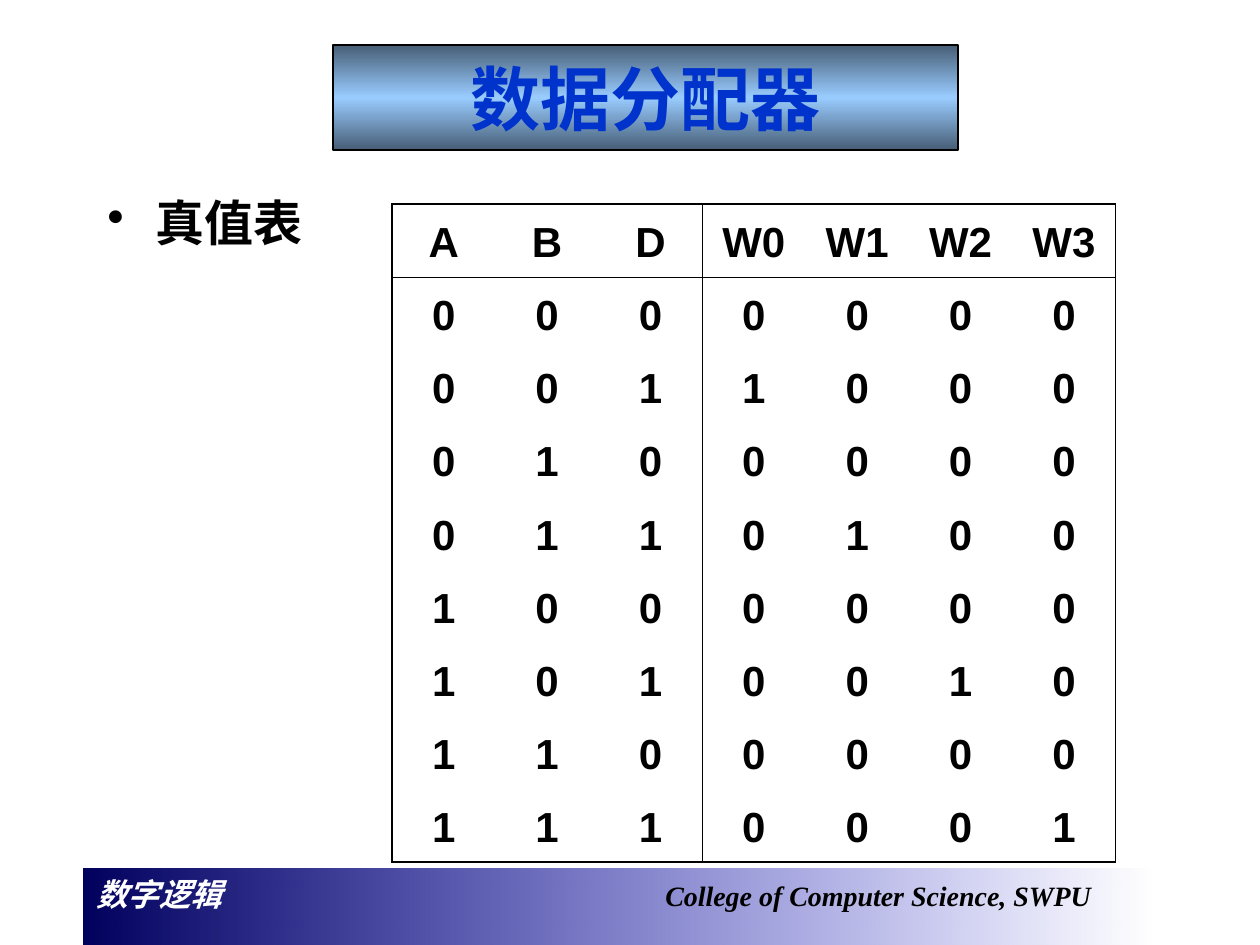
from itertools import product

from lxml.etree import SubElement
from pptx import Presentation
from pptx.dml.color import RGBColor
from pptx.enum.shapes import MSO_SHAPE
from pptx.enum.text import MSO_ANCHOR as ANCHOR, PP_ALIGN as ALIGN
from pptx.oxml.ns import qn
from pptx.util import Emu, Pt

PX = 914400 // 126
BLACK = RGBColor(0x00, 0x00, 0x00)
WHITE = RGBColor(0xFF, 0xFF, 0xFF)
BLUE = RGBColor(0x00, 0x33, 0xCC)
STEEL = RGBColor(0x47, 0x5E, 0x76)
SKY = RGBColor(0x99, 0xCC, 0xFF)
NAVY = RGBColor(0x00, 0x00, 0x5E)
ROYAL = RGBColor(0x00, 0x00, 0xCC)
OUTER, INNER = Pt(1.08), Pt(0.45)


def px(n):
    """Turn px into EMU."""
    return Emu(n * PX)


def style(r, name, size, color, italic=False):
    """Format one bold run."""
    r.font.name, r.font.size = name, Pt(size)
    r.font.bold, r.font.italic = True, italic
    r.font.color.rgb = color


def add_color(parent, color):
    """Add a solid colour element and return it."""
    return SubElement(parent, qn("a:srgbClr"), val=str(color))


def gradient_box(slide, box, angle, stops):
    """Add a rectangle filled with (position, colour, opacity) stops."""
    sp = slide.shapes.add_shape(MSO_SHAPE.RECTANGLE, *map(px, box))
    sp.shadow.inherit = False
    sp.fill.gradient()
    sp.fill.gradient_angle = angle
    gs_lst = sp.element.spPr.find(qn("a:gradFill")).find(qn("a:gsLst"))
    for gs in list(gs_lst):
        gs_lst.remove(gs)
    for pos, color, opacity in stops:
        gs = SubElement(gs_lst, qn("a:gs"), pos=str(pos * 1000))
        clr = add_color(gs, color)
        if opacity < 100:
            SubElement(clr, qn("a:alpha"), val=str(opacity * 1000))
    sp.text_frame.word_wrap = True
    return sp


def add_footer(slide, box):
    """Place the fading footer band with course and college names."""
    sp = gradient_box(slide, box, 0, [(0, NAVY, 100), (100, ROYAL, 0)])
    sp.line.fill.background()
    tf = sp.text_frame
    tf.vertical_anchor = ANCHOR.TOP
    p = tf.paragraphs[0]
    p.alignment = ALIGN.LEFT
    tabs = SubElement(p._p.get_or_add_pPr(), qn("a:tabLst"))
    SubElement(tabs, qn("a:tab"), pos=str(px(569)), algn="l")
    for text, size, color in [("数字逻辑\t", 18, WHITE),
                              ("College of Computer Science, SWPU", 16, BLACK)]:
        r = p.add_run()
        r.text = text
        style(r, "Times New Roman", size, color, italic=True)


def add_title(slide, box):
    """Place the title on its banded panel."""
    sp = gradient_box(slide, box, 90, [(0, STEEL, 100), (50, SKY, 100), (100, STEEL, 100)])
    sp.line.color.rgb = BLACK
    sp.line.width = Pt(0.75)
    tf = sp.text_frame
    tf.vertical_anchor = ANCHOR.MIDDLE
    tf.text = "数据分配器"
    p = tf.paragraphs[0]
    p.alignment = ALIGN.CENTER
    style(p.runs[0], "Karla", 40, BLUE)


def add_body(slide, box):
    """Place the bulleted heading."""
    tf = slide.shapes.add_textbox(*map(px, box)).text_frame
    tf.word_wrap = True
    tf.text = "真值表"
    p = tf.paragraphs[0]
    p.line_spacing = 1.2
    pPr = p._p.get_or_add_pPr()
    pPr.set("marL", str(px(48)))
    pPr.set("indent", str(px(-48)))
    add_color(SubElement(pPr, qn("a:buClr")), BLACK)
    SubElement(pPr, qn("a:buChar"), char="•")
    style(p.runs[0], "Arial", 28, BLACK)


def set_borders(cell, widths):
    """Set cell borders by side, with None for no line."""
    tcPr = cell._tc.get_or_add_tcPr()
    for side, width in zip("LRTB", widths):
        ln = SubElement(tcPr, qn(f"a:ln{side}"), w=str(width or 0))
        if width:
            add_color(SubElement(ln, qn("a:solidFill")), BLACK)
        else:
            SubElement(ln, qn("a:noFill"))


def truth_rows():
    """Return the header and the demultiplexer's truth table."""
    rows = [["A", "B", "D", "W0", "W1", "W2", "W3"]]
    for a, b, d in product((0, 1), repeat=3):
        rows.append([a, b, d] + [d if i == 2 * a + b else 0 for i in range(4)])
    return rows


def add_truth_table(slide, box):
    """Place the truth table with its frame and two dividing lines."""
    rows = truth_rows()
    n_rows, n_cols = len(rows), len(rows[0])
    table = slide.shapes.add_table(n_rows, n_cols, *map(px, box)).table
    table.first_row = table.horz_banding = False
    v_lines = {0: OUTER, 3: INNER, n_cols: OUTER}
    h_lines = {0: OUTER, 1: INNER, n_rows: OUTER}
    for i, row in enumerate(rows):
        for j, value in enumerate(row):
            cell = table.cell(i, j)
            cell.text = str(value)
            p = cell.text_frame.paragraphs[0]
            p.alignment = ALIGN.CENTER
            p.line_spacing = 1.2
            style(p.runs[0], "Arial", 24, BLACK)
            set_borders(cell, [v_lines.get(j), v_lines.get(j + 1),
                               h_lines.get(i), h_lines.get(i + 1)])
            cell.fill.background()


def main():
    """Build and save the slide."""
    prs = Presentation()
    prs.slide_width, prs.slide_height = px(1260), px(945)
    slide = prs.slides.add_slide(prs.slide_layouts[6])
    add_footer(slide, (84, 869, 1071, 88))
    add_title(slide, (333, 45, 625, 105))
    add_body(slide, (95, 175, 525, 687))
    add_truth_table(slide, (392, 204, 724, 658))
    prs.save("out.pptx")


if __name__ == "__main__":
    main()
